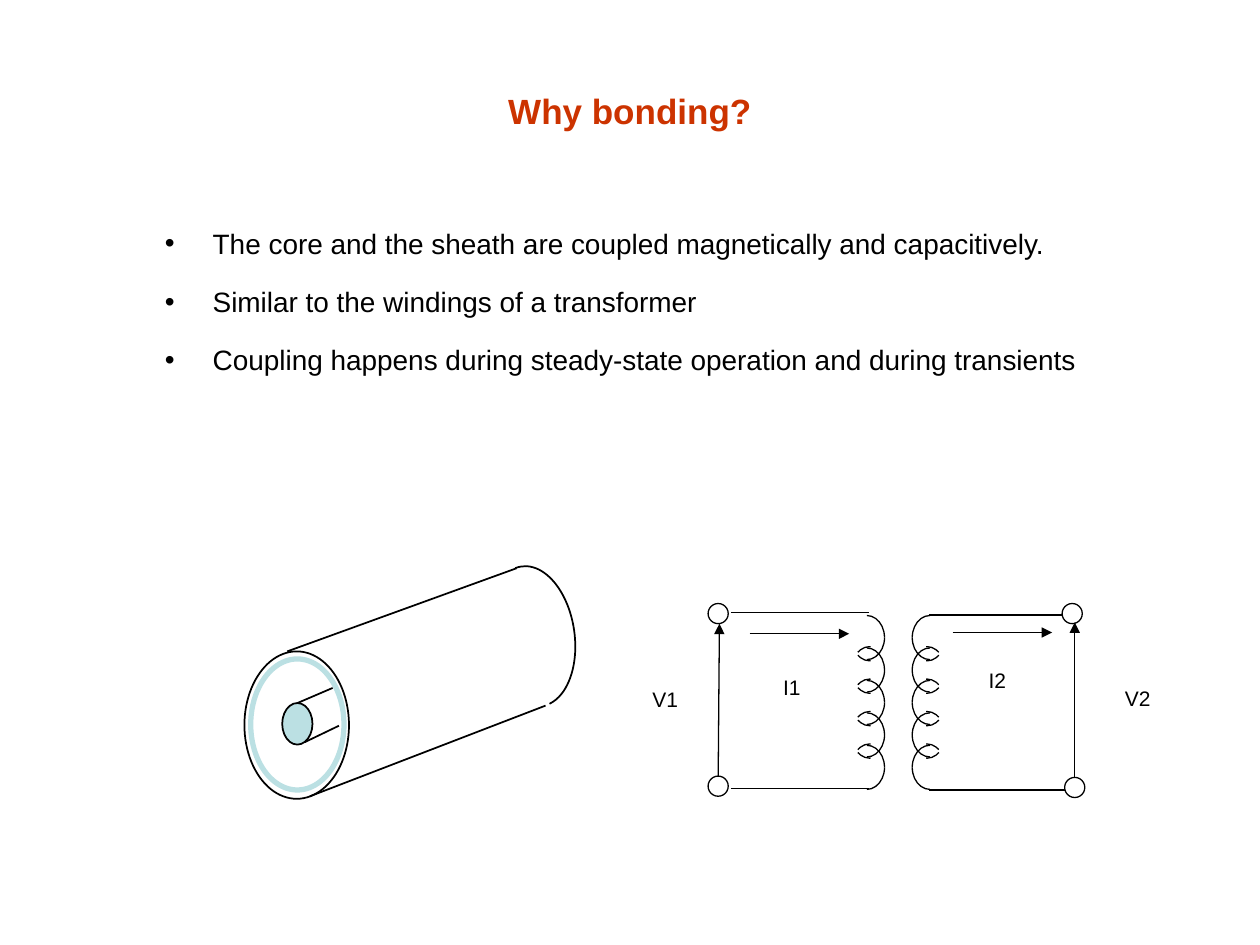
from dataclasses import dataclass

from lxml.etree import SubElement
from pptx import Presentation
from pptx.dml.color import RGBColor
from pptx.enum.shapes import MSO_CONNECTOR, MSO_SHAPE
from pptx.enum.text import MSO_ANCHOR as Anchor, PP_ALIGN as Align
from pptx.oxml.ns import qn
from pptx.util import Inches, Pt

BLACK, WHITE, RED, TEAL = "000000", "FFFFFF", "CC3300", "BBE0E3"


@dataclass
class Oval:
    left: float
    top: float
    width: float
    height: float
    fill: str | None = None
    color: str = BLACK
    weight: float = 1


@dataclass
class Arc:
    center_x: float
    center_y: float
    width: float
    height: float
    start: float
    end: float
    weight: float = 0.75
    rotation: float = 0


@dataclass
class Line:
    x1: float
    y1: float
    x2: float
    y2: float
    weight: float = 0.75
    arrow: bool = False


@dataclass
class Label:
    text: str
    left: float
    top: float
    width: float
    height: float = 0.52
    size: float = 12
    color: str = BLACK
    bold: bool = False


def rgb(value: str) -> RGBColor:
    return RGBColor.from_string(value)


def style(shape, fill: str | None, color: str, weight: float):
    shape.shadow.inherit = False
    if fill:
        shape.fill.solid()
        shape.fill.fore_color.rgb = rgb(fill)
    else:
        shape.fill.background()
    shape.line.color.rgb = rgb(color)
    shape.line.width = Pt(weight)


def draw_oval(page, oval: Oval):
    shape = page.shapes.add_shape(
        MSO_SHAPE.OVAL, Inches(oval.left), Inches(oval.top),
        Inches(oval.width), Inches(oval.height))
    style(shape, oval.fill, oval.color, oval.weight)
    return shape


def draw_arc(page, arc: Arc):
    shape = page.shapes.add_shape(
        MSO_SHAPE.ARC, Inches(arc.center_x - arc.width / 2),
        Inches(arc.center_y - arc.height / 2), Inches(arc.width), Inches(arc.height))
    shape.adjustments[0] = arc.start * 0.6
    shape.adjustments[1] = arc.end * 0.6
    shape.rotation = arc.rotation
    style(shape, None, BLACK, arc.weight)


def draw_line(page, line: Line):
    connector = page.shapes.add_connector(
        MSO_CONNECTOR.STRAIGHT, Inches(line.x1), Inches(line.y1),
        Inches(line.x2), Inches(line.y2))
    connector.line.color.rgb = rgb(BLACK)
    connector.line.width = Pt(line.weight)
    if line.arrow:
        SubElement(connector.line._get_or_add_ln(), qn("a:tailEnd"), type="triangle")
    SubElement(connector._element.spPr, qn("a:effectLst"))
    return connector


def set_font(para, size: float, color: str, bold: bool = False):
    para.font.name = "Arial"
    para.font.size = Pt(size)
    para.font.bold = bold
    para.font.color.rgb = rgb(color)


def add_frame(page, left: float, top: float, width: float, height: float):
    box = page.shapes.add_textbox(Inches(left), Inches(top), Inches(width), Inches(height))
    box.text_frame.word_wrap = True
    return box.text_frame


def draw_label(page, label: Label):
    frame = add_frame(page, label.left, label.top, label.width, label.height)
    frame.vertical_anchor = Anchor.MIDDLE
    para = frame.paragraphs[0]
    para.text = label.text
    para.alignment = Align.CENTER
    set_font(para, label.size, label.color, label.bold)


def draw_bullets(page, items: list[str]):
    frame = add_frame(page, 1.21, 1.75, 8.92, 5.67)
    for index, item in enumerate(items):
        para = frame.paragraphs[0] if index == 0 else frame.add_paragraph()
        para.text = item
        if index:
            para.space_before = Pt(14)
        props = para._p.get_or_add_pPr()
        props.set("marL", str(Inches(0.38)))
        props.set("indent", str(-Inches(0.38)))
        SubElement(props, qn("a:buFont"), typeface="Arial")
        SubElement(props, qn("a:buChar"), char="•")
        set_font(para, 16, BLACK)


def draw_coil(page, center_x: float, mirrored: bool):
    loops, first_y, pitch = 5, 5.06, 0.2575
    side = -1 if mirrored else 1
    for index in range(loops):
        y = first_y + index * pitch
        pieces = [(0, 0.35, 270, 360), (0, 0.35, 0, 90)]
        if index > 0:
            pieces.append((0.02, 0.37, 237, 273))
        if index < loops - 1:
            pieces.append((0.02, 0.37, 87, 123))
        for shift, height, start, end in pieces:
            if mirrored:
                start, end = (180 - end) % 360, (180 - start) % 360
            draw_arc(page, Arc(center_x + side * shift, y, 0.28, height, start, end))


def draw_transformer(page):
    draw_coil(page, 6.88, False)
    draw_coil(page, 7.38, True)
    for line in (Line(7.37, 4.88, 8.47, 4.88), Line(7.37, 6.27, 8.47, 6.27),
                 Line(5.8, 6.26, 6.9, 6.26), Line(5.8, 4.86, 6.9, 4.86),
                 Line(5.95, 5.03, 6.74, 5.03, arrow=True),
                 Line(7.56, 5.02, 8.35, 5.02, arrow=True)):
        draw_line(page, line)
    for top_x, bottom_x, bottom_y, tip_x, tip_y in (
            (5.62, 5.62, 6.16, 5.71, 4.95), (8.43, 8.45, 6.17, 8.53, 4.94)):
        draw_oval(page, Oval(top_x, 4.79, 0.16, 0.16, WHITE, weight=0.75))
        terminal = draw_oval(page, Oval(bottom_x, bottom_y, 0.16, 0.16, WHITE, weight=0.75))
        arrow = draw_line(page, Line(bottom_x + 0.08, bottom_y, tip_x, tip_y, arrow=True))
        arrow.begin_connect(terminal, 0)
    for label in (Label("V1", 4.92, 5.29, 0.72), Label("V2", 8.67, 5.28, 0.72),
                  Label("I1", 5.98, 5.19, 0.61), Label("I2", 7.61, 5.14, 0.61)):
        draw_label(page, label)


def draw_cable(page):
    for oval in (Oval(1.99, 5.23, 0.74, 1.04, color=TEAL, weight=3),
                 Oval(1.94, 5.17, 0.83, 1.17),
                 Oval(2.24, 5.58, 0.24, 0.33, TEAL)):
        draw_oval(page, oval)
    for line in (Line(2.28, 5.17, 4.1, 4.51, 1), Line(2.46, 6.32, 4.33, 5.6, 1),
                 Line(2.36, 5.58, 2.64, 5.46, 1), Line(2.42, 5.89, 2.69, 5.76, 1)):
        draw_line(page, line)
    draw_arc(page, Arc(4.22, 5.05, 0.68, 1.12, 264.7, 83.5, 1, 351.7))


def main():
    deck = Presentation()
    deck.slide_width, deck.slide_height = Inches(10), Inches(7.5)
    page = deck.slides.add_slide(deck.slide_layouts[6])
    draw_label(page, Label("Why bonding?", 0.75, 0.25, 8.5, 1.25, 20, RED, True))
    draw_bullets(page, [
        "The core and the sheath are coupled magnetically and capacitively.",
        "Similar to the windings of a transformer",
        "Coupling happens during steady-state operation and during transients"])
    draw_transformer(page)
    draw_cable(page)
    deck.save("out.pptx")


if __name__ == "__main__":
    main()
